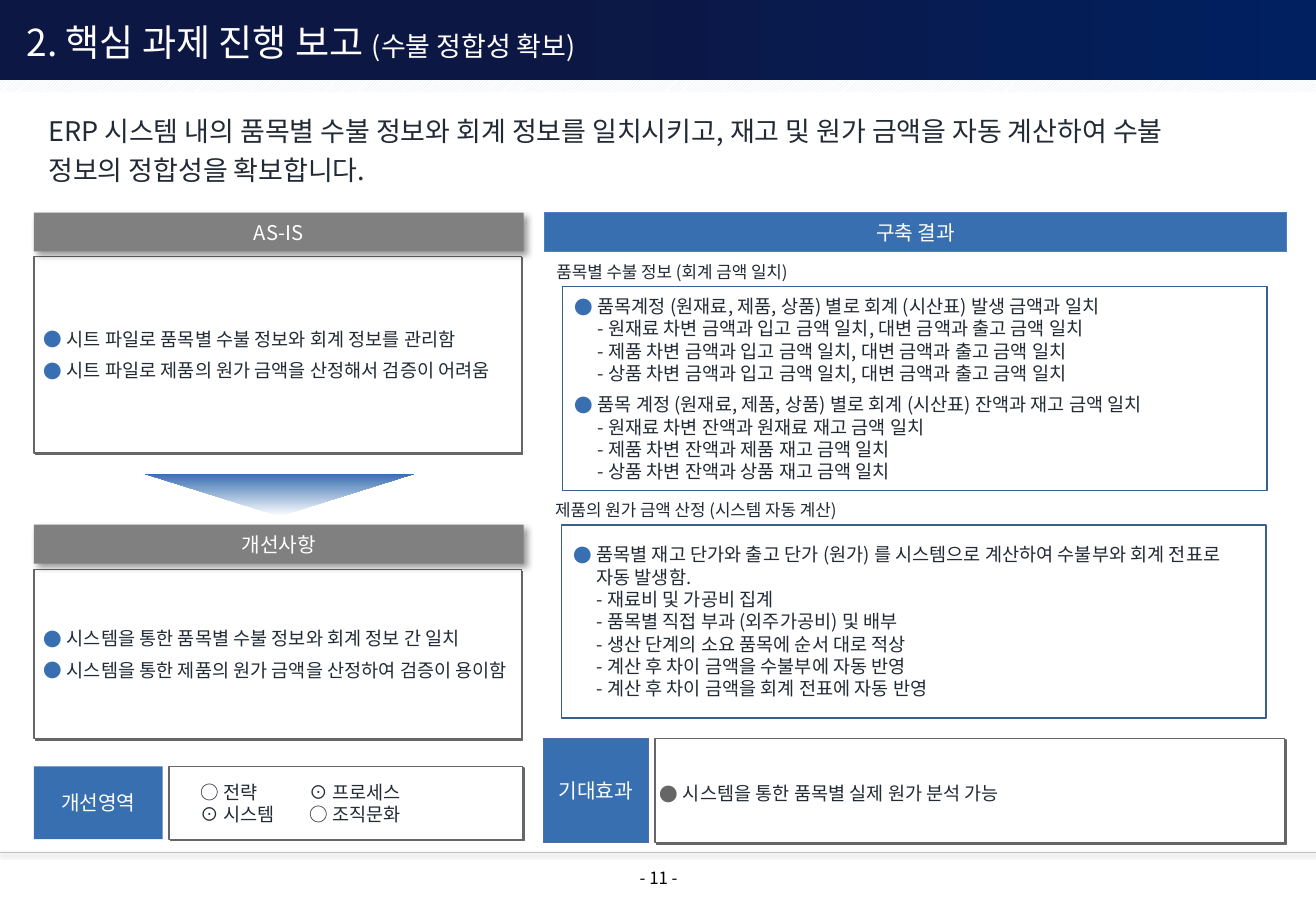
from lxml import etree
from pptx import Presentation
from pptx.dml.color import RGBColor
from pptx.enum.dml import MSO_PATTERN
from pptx.enum.shapes import MSO_CONNECTOR, MSO_SHAPE
from pptx.enum.text import MSO_ANCHOR, MSO_AUTO_SIZE, PP_ALIGN
from pptx.oxml.ns import qn
from pptx.util import Inches, Pt

RECTANGLE, TRIANGLE = MSO_SHAPE.RECTANGLE, MSO_SHAPE.ISOSCELES_TRIANGLE
STRAIGHT = MSO_CONNECTOR.STRAIGHT
DIAGONAL = MSO_PATTERN.DARK_UPWARD_DIAGONAL
LEFT, CENTER = PP_ALIGN.LEFT, PP_ALIGN.CENTER
TOP, MIDDLE = MSO_ANCHOR.TOP, MSO_ANCHOR.MIDDLE
NO_FIT = MSO_AUTO_SIZE.NONE

THEME = {
    "font": "Noto Sans CJK KR",
    "white": "FFFFFF", "black": "000000", "ink": "222A35",
    "blue": "386FB1", "gray": "808080", "frame": "666666",
    "outline": "3A5F8C", "blue edge": "4F81BD", "violet edge": "516BAB",
    "navy": "002060", "dark navy": "0D1743", "hatch": "DCE6F2", "rule": "BFBFBF",
    "title": 22, "lead": 16, "heading": 12, "body": 11, "caption": 10,
}
COLOR = {name: RGBColor.from_string(value) for name, value in THEME.items()
         if isinstance(value, str) and len(value) == 6}
# colour, opacity %, blur pt, distance pt, angle
SHADOWS = {"card": ("frame", 100, 0, 1.4, 45), "band": ("black", 40, 4, 3, 45),
           "rule": ("black", 20, 3, 1, 90)}


def decorate(shape, fill=None, line=None, width=0.75, shadow=None):
    """Set fill, outline and shadow; None means there is none."""
    if fill:
        shape.fill.solid()
        shape.fill.fore_color.rgb = COLOR[fill]
    if line:
        shape.line.color.rgb = COLOR[line]
        shape.line.width = Pt(width)
    else:
        shape.line.fill.background()
    effects = etree.SubElement(shape.element.spPr, qn("a:effectLst"))
    if shadow:
        color, opacity, blur, distance, angle = SHADOWS[shadow]
        outer = etree.SubElement(
            effects, qn("a:outerShdw"), blurRad=str(Pt(blur)), dist=str(Pt(distance)),
            dir=str(angle * 60000), algn="tl", rotWithShape="0")
        tint = etree.SubElement(outer, qn("a:srgbClr"), val=THEME[color])
        etree.SubElement(tint, qn("a:alpha"), val=str(opacity * 1000))


def write(shape, texts, size="body", color="ink", align=LEFT, anchor=MIDDLE,
          inset=(0.1, 0.05), bullet=None, spacing=None, tab=None, tail=None):
    """Fill a shape with one paragraph per text."""
    frame = shape.text_frame
    side, edge = Inches(inset[0]), Inches(inset[1])
    settings = {"word_wrap": True, "auto_size": NO_FIT, "vertical_anchor": anchor,
                "margin_left": side, "margin_right": side,
                "margin_top": edge, "margin_bottom": edge}
    for name, value in settings.items():
        setattr(frame, name, value)
    for index, text in enumerate(texts):
        paragraph = frame.add_paragraph() if index else frame.paragraphs[0]
        paragraph.text = text
        if tail:
            paragraph.add_run().text = tail
        paragraph.alignment = align
        paragraph.space_before = Pt(5.5 if index and bullet else 0)
        if spacing:
            paragraph.line_spacing = spacing
        properties = paragraph._p.get_or_add_pPr()
        if bullet:
            properties.set("marL", str(Inches(0.19)))
            properties.set("indent", str(-Inches(0.19)))
            tint = etree.SubElement(properties, qn("a:buClr"))
            etree.SubElement(tint, qn("a:srgbClr"), val=THEME[bullet])
            etree.SubElement(properties, qn("a:buFont"), typeface=THEME["font"])
            etree.SubElement(properties, qn("a:buChar"), char="●")
        if tab:
            stops = etree.SubElement(properties, qn("a:tabLst"))
            etree.SubElement(stops, qn("a:tab"), pos=str(Inches(tab)), algn="l")
        for run in paragraph.runs:
            run.font.name = THEME["font"]
            run.font.size = Pt(THEME[size])
            run.font.color.rgb = COLOR[color]
            etree.SubElement(run.font._element, qn("a:ea"), typeface=THEME["font"])


presentation = Presentation()
presentation.slide_width, presentation.slide_height = Inches(10.83), Inches(7.5)
slide = presentation.slides.add_slide(presentation.slide_layouts[3])
shapes = slide.shapes
title, as_is_list, improvement_list = slide.placeholders

# Header band and hatched strip, behind the title
header = shapes.add_shape(RECTANGLE, 0, 0, Inches(10.83), Inches(0.67))
header.fill.gradient()
header.fill.gradient_angle = 180
strip = shapes.add_shape(RECTANGLE, 0, Inches(0.66), Inches(10.83), Inches(0.1))
strip.fill.patterned()
strip.fill.pattern = DIAGONAL
strip.fill.fore_color.rgb = COLOR["hatch"]
strip.fill.back_color.rgb = COLOR["white"]

# Arrow from AS-IS to the improvements
arrow = shapes.add_shape(TRIANGLE, Inches(1.19), Inches(3.9), Inches(2.22), Inches(0.35))
arrow.rotation = 180
arrow.fill.gradient()
arrow.fill.gradient_angle = 270

for shape, stops in ((header, (("navy", 0), ("dark navy", 0.59))),
                     (arrow, (("white", 0), ("blue", 1)))):
    for stop, (color, position) in zip(shape.fill.gradient_stops, stops):
        stop.color.rgb = COLOR[color]
        stop.position = position
for shape in (header, strip, arrow):
    decorate(shape)
for shape in (header, strip):
    title.element.addprevious(shape.element)

# Title
title.left, title.top, title.width, title.height = map(Inches, (0.22, 0.14, 6.69, 0.4))
write(title, ["2. 핵심 과제 진행 보고 "], "title", "white", inset=(0, 0.05),
      tail="(수불 정합성 확보)")
title.text_frame.paragraphs[0].runs[1].font.size = Pt(THEME["lead"])

# Footer rule
rule = shapes.add_connector(STRAIGHT, 0, Inches(7.02), Inches(10.83), Inches(7.02))
decorate(rule, line="rule", width=0.25, shadow="rule")

# Plain texts: place, text, format
captions = (
    ((0.3, 0.84, 9.92, 0.71),
     "ERP 시스템 내의 품목별 수불 정보와 회계 정보를 일치시키고, 재고 및 원가 금액을 "
     "자동 계산하여 수불 정보의 정합성을 확보합니다.",
     {"size": "lead", "anchor": TOP, "spacing": 1.2}),
    ((4.48, 2.1, 2.68, 0.27), "품목별 수불 정보 (회계 금액 일치)", {"size": "caption"}),
    ((4.47, 4.06, 4.9, 0.27), "제품의 원가 금액 산정 (시스템 자동 계산)", {"size": "caption"}),
    ((4.73, 7.14, 1.38, 0.2), "- 11 -",
     {"size": "caption", "color": "black", "align": CENTER, "anchor": TOP, "inset": (0, 0)}),
)
for place, text, text_format in captions:
    write(shapes.add_textbox(*map(Inches, place)), [text], **text_format)

# Heading bands: place, text, decoration
headings = (
    ((0.28, 1.75, 4.03, 0.32), "AS-IS", {"fill": "gray", "shadow": "band"}),
    ((0.28, 4.32, 4.03, 0.32), "개선사항", {"fill": "gray", "shadow": "band"}),
    ((4.48, 1.75, 6.11, 0.32), "구축 결과", {"fill": "blue", "line": "blue edge"}),
    ((0.28, 6.31, 1.06, 0.6), "개선영역", {"fill": "blue"}),
    ((4.47, 6.08, 0.87, 0.86), "기대효과", {"fill": "blue", "line": "violet edge"}),
)
for place, text, look in headings:
    band = shapes.add_shape(RECTANGLE, *map(Inches, place))
    decorate(band, **look)
    write(band, [text], "heading", "white", CENTER)

# Content boxes: placeholder if any, place, decoration, paragraphs, format
card = {"fill": "white", "line": "frame", "shadow": "card"}
outlined = {"line": "outline", "width": 1}
bulleted = {"bullet": "blue", "spacing": Pt(13.2)}
boxes = (
    (as_is_list, (0.28, 2.11, 4.01, 1.62), card,
     ["시트 파일로 품목별 수불 정보와 회계 정보를 관리함",
      "시트 파일로 제품의 원가 금액을 산정해서 검증이 어려움"],
     {**bulleted, "inset": (0.08, 0.05)}),
    (improvement_list, (0.28, 4.69, 4.01, 1.39), card,
     ["시스템을 통한 품목별 수불 정보와 회계 정보 간 일치",
      "시스템을 통한 제품의 원가 금액을 산정하여 검증이 용이함"],
     {**bulleted, "inset": (0.08, 0.05)}),
    (None, (1.39, 6.31, 2.91, 0.6), card,
     ["○ 전략\t⊙ 프로세스", "⊙ 시스템\t○ 조직문화"],
     {"inset": (0.26, 0.05), "tab": 0.9}),
    (None, (5.39, 6.08, 5.18, 0.86), card,
     ["시스템을 통한 품목별 실제 원가 분석 가능"],
     {"bullet": "frame", "spacing": 1.2, "inset": (0.04, 0.05)}),
    (None, (4.63, 2.36, 5.8, 1.68), outlined,
     ["품목계정 (원재료, 제품, 상품) 별로 회계 (시산표) 발생 금액과 일치"
      "\v- 원재료 차변 금액과 입고 금액 일치, 대변 금액과 출고 금액 일치"
      "\v- 제품 차변 금액과 입고 금액 일치, 대변 금액과 출고 금액 일치"
      "\v- 상품 차변 금액과 입고 금액 일치, 대변 금액과 출고 금액 일치",
      "품목 계정 (원재료, 제품, 상품) 별로 회계 (시산표) 잔액과 재고 금액 일치"
      "\v- 원재료 차변 잔액과 원재료 재고 금액 일치"
      "\v- 제품 차변 잔액과 제품 재고 금액 일치"
      "\v- 상품 차변 잔액과 상품 재고 금액 일치"], bulleted),
    (None, (4.62, 4.32, 5.8, 1.59), outlined,
     ["품목별 재고 단가와 출고 단가 (원가) 를 시스템으로 계산하여 수불부와 회계 전표로 자동 발생함."
      "\v- 재료비 및 가공비 집계"
      "\v- 품목별 직접 부과 (외주가공비) 및 배부"
      "\v- 생산 단계의 소요 품목에 순서 대로 적상"
      "\v- 계산 후 차이 금액을 수불부에 자동 반영"
      "\v- 계산 후 차이 금액을 회계 전표에 자동 반영"], bulleted),
)
for placeholder, place, look, texts, text_format in boxes:
    left, top, width, height = map(Inches, place)
    box = placeholder or shapes.add_shape(RECTANGLE, left, top, width, height)
    box.left, box.top, box.width, box.height = left, top, width, height
    if "fill" not in look:
        box.fill.background()
    decorate(box, **look)
    write(box, texts, **text_format)

presentation.save("out.pptx")
